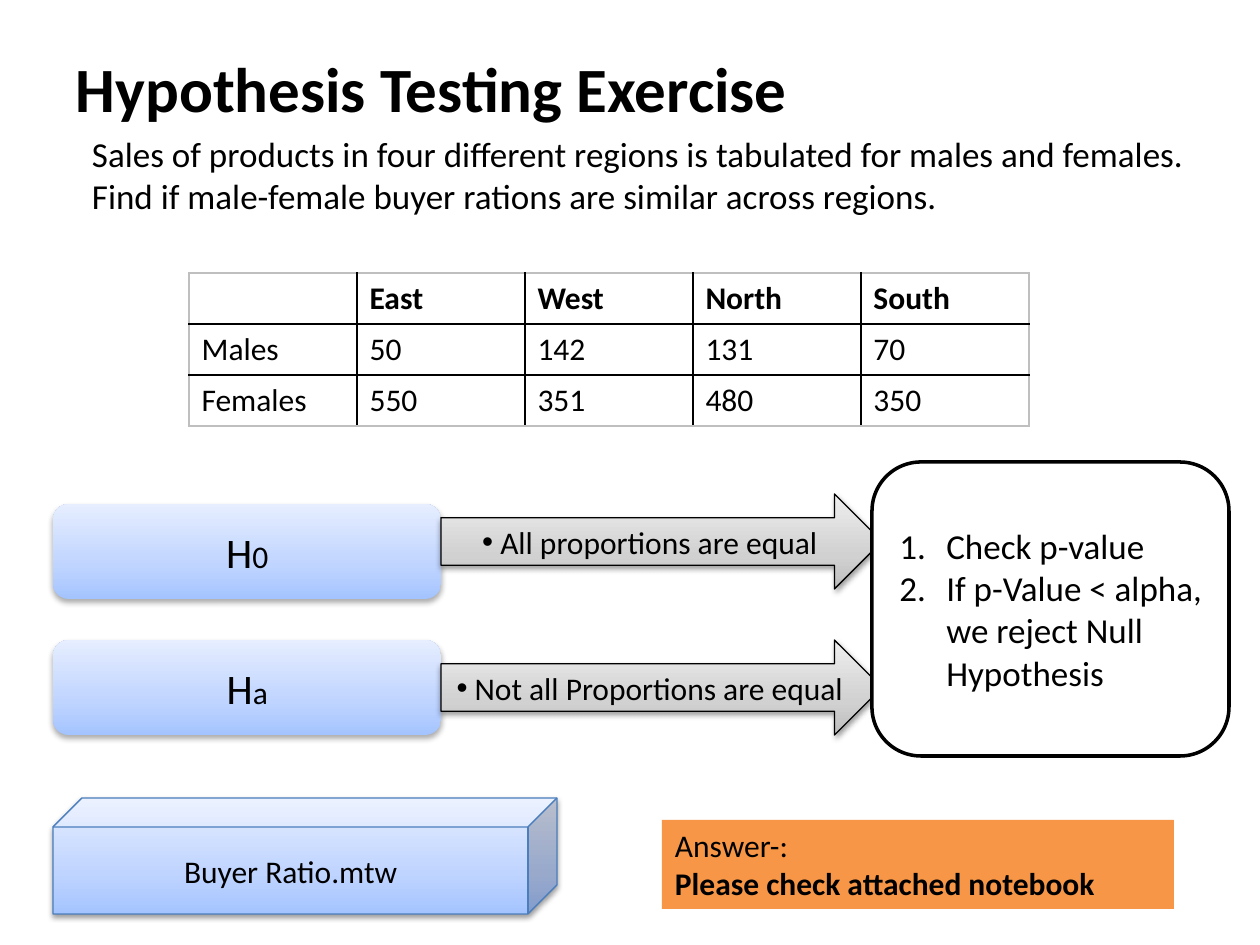
from dataclasses import dataclass
from typing import Any
from lxml.etree import SubElement
from pptx import Presentation
from pptx.dml.color import RGBColor
from pptx.enum.shapes import MSO_SHAPE as KIND
from pptx.enum.text import MSO_ANCHOR, PP_ALIGN
from pptx.oxml import parse_xml
from pptx.oxml.ns import nsdecls, qn
from pptx.util import Pt

SCALE = 914400 / 126
COLORS = {
    "ink": "000000", "paper": "FFFFFF", "edge": "BFBFBF",
    "answer": "F79646", "steel": "4B7EBC",
}
BLENDS = {
    "blue": ("A4C4FF", "BFD4FF", "E6EEFF"),
    "gray": ("BDBDBD", "D1D1D1", "EEEEEE"),
}
MARKS = {
    "dot": ("buChar", {"char": "•"}, 0),
    "count": ("buAutoNum", {"type": "arabicPeriod"}, 47),
}


@dataclass(frozen=True)
class Run:
    text: str
    size: int = 18
    bold: bool = False
    fresh: bool = False


@dataclass(frozen=True)
class Box:
    left: int
    top: int
    wide: int
    high: int
    lines: tuple[tuple[Run, ...], ...]
    kind: Any = None
    fill: str = ""
    edge: str = ""
    width: float = 0.75
    shade: tuple[int, float, float] | None = None
    mark: str = ""
    center: bool = False
    middle: bool = True
    inset: int = 13


def px(count: float) -> int:
    return round(count * SCALE)


def tint(name: str) -> RGBColor:
    return RGBColor.from_string(COLORS[name])


def apply(target: Any, values: dict[str, Any]) -> None:
    for name, value in values.items():
        setattr(target, name, value)


def write(line: Any, runs: tuple[Run, ...]) -> None:
    for run in runs:
        if run.fresh:
            line.add_line_break()
        part = line.add_run()
        part.text = run.text
        apply(part.font, {"name": "Calibri", "size": Pt(run.size), "bold": run.bold})
        part.font.color.rgb = tint("ink")


def bullet(line: Any, mark: str) -> None:
    tag, values, indent = MARKS[mark]
    props = line._p.get_or_add_pPr()
    props.set("marL", str(px(indent)))
    props.set("indent", str(-px(indent)))
    SubElement(props, qn("a:buFont"), typeface="Arial" if mark == "dot" else "+mj-lt")
    SubElement(props, qn(f"a:{tag}"), values)


def blend(shape: Any, name: str) -> None:
    stops = "".join(
        f'<a:gs pos="{spot}000"><a:srgbClr val="{color}"/></a:gs>'
        for spot, color in zip((0, 35, 100), BLENDS[name])
    )
    shape._element.spPr.find(qn("a:prstGeom")).addnext(parse_xml(
        f'<a:gradFill {nsdecls("a")} rotWithShape="1"><a:gsLst>{stops}</a:gsLst>'
        '<a:lin ang="16200000" scaled="0"/></a:gradFill>'
    ))


def shadow(shape: Any, shade: tuple[int, float, float]) -> None:
    alpha, blur, drop = shade
    cast = SubElement(
        shape._element.spPr.find(qn("a:effectLst")), qn("a:outerShdw"),
        blurRad=str(Pt(blur)), dist=str(Pt(drop)), dir="5400000", rotWithShape="0",
    )
    color = SubElement(cast, qn("a:srgbClr"), val=COLORS["ink"])
    SubElement(color, qn("a:alpha"), val=f"{alpha}000")


def draw(slide: Any, box: Box) -> None:
    place = [px(n) for n in (box.left, box.top, box.wide, box.high)]
    if box.kind is None:
        shape = slide.shapes.add_textbox(*place)
    else:
        shape = slide.shapes.add_shape(box.kind, *place)
        shape.shadow.inherit = False
        if box.fill in BLENDS:
            blend(shape, box.fill)
        else:
            shape.fill.solid()
            shape.fill.fore_color.rgb = tint(box.fill)
        if box.edge:
            shape.line.color.rgb = tint(box.edge)
            shape.line.width = Pt(box.width)
        else:
            shape.line.fill.background()
        if box.shade:
            shadow(shape, box.shade)
    frame = shape.text_frame
    apply(frame, {
        "word_wrap": True,
        "vertical_anchor": MSO_ANCHOR.MIDDLE if box.middle else MSO_ANCHOR.TOP,
        "margin_left": px(box.inset),
    })
    for at, runs in enumerate(box.lines):
        line = frame.add_paragraph() if at else frame.paragraphs[0]
        line.alignment = PP_ALIGN.CENTER if box.center else PP_ALIGN.LEFT
        if box.mark:
            bullet(line, box.mark)
        write(line, runs)


def rule(cell: Any, side: str, color: str) -> None:
    line = SubElement(cell._tc.get_or_add_tcPr(), qn(f"a:{side}"), w=str(Pt(1)))
    fill = SubElement(line, qn("a:solidFill"))
    SubElement(fill, qn("a:srgbClr"), val=COLORS[color])


def grid(slide: Any, rows: tuple[tuple[str, ...], ...]) -> None:
    tall, wide = len(rows), len(rows[0])
    table = slide.shapes.add_table(
        tall, wide, px(189), px(273), px(168 * wide), px(51 * tall)
    ).table
    apply(table, {"first_row": False, "horz_banding": False})
    for r, row in enumerate(rows):
        for c, text in enumerate(row):
            cell = table.cell(r, c)
            outer = {"lnL": c == 0, "lnR": c == wide - 1, "lnT": r == 0, "lnB": r == tall - 1}
            for side, rim in outer.items():
                rule(cell, side, "edge" if rim else "ink")
            cell.fill.background()
            if text:
                write(cell.text_frame.paragraphs[0], (Run(text, bold=r == 0),))


HEADS = (
    Box(63, 38, 1134, 98, ((Run("Hypothesis Testing Exercise", 36, True),),)),
    Box(32, 126, 1207, 788, ((Run(
        "Sales of products in four different regions is tabulated for males and females. "
        "Find if male-female buyer rations are similar across regions.", 20),),),
        middle=False, inset=60),
)
SALES = (
    ("", "East", "West", "North", "South"),
    ("Males", "50", "142", "131", "70"),
    ("Females", "550", "351", "480", "350"),
)
CLAIMS = (
    ("0", 504, 494, " All proportions are equal"),
    ("a", 640, 640, " Not all Proportions are equal"),
)
SOFT, FIRM = (32, 3.5, 2.2), (38, 3.1, 1.6)
LABELS = tuple(
    Box(53, top, 388, 95, ((Run("H", 24), Run(sign)),), KIND.ROUNDED_RECTANGLE,
        "blue", shade=SOFT, center=True)
    for sign, top, _, _ in CLAIMS
)
ARROWS = tuple(
    Box(441, top, 441, 95, ((Run(text),),), KIND.RIGHT_ARROW,
        "gray", "ink", shade=FIRM, mark="dot", center=True)
    for _, _, top, text in CLAIMS
)
NOTES = (
    Box(872, 462, 357, 294, (
        (Run("Check p-value", 20),),
        (Run("If p-Value < alpha, we reject Null Hypothesis", 20),),
    ), KIND.ROUNDED_RECTANGLE, "paper", "ink", 2, mark="count"),
    Box(53, 798, 504, 116, ((Run("Buyer Ratio.mtw"),),), KIND.CUBE,
        "blue", "steel", shade=FIRM, center=True),
    Box(662, 820, 512, 89, (
        (Run("Answer-:"), Run("Please check attached notebook", bold=True, fresh=True)),
    ), KIND.RECTANGLE, "answer", middle=False),
)

deck = Presentation()
apply(deck, {"slide_width": px(1260), "slide_height": px(945)})
page = deck.slides.add_slide(deck.slide_layouts[6])
for head in HEADS:
    draw(page, head)
grid(page, SALES)
for item in LABELS + ARROWS + NOTES:
    draw(page, item)
deck.save("out.pptx")
